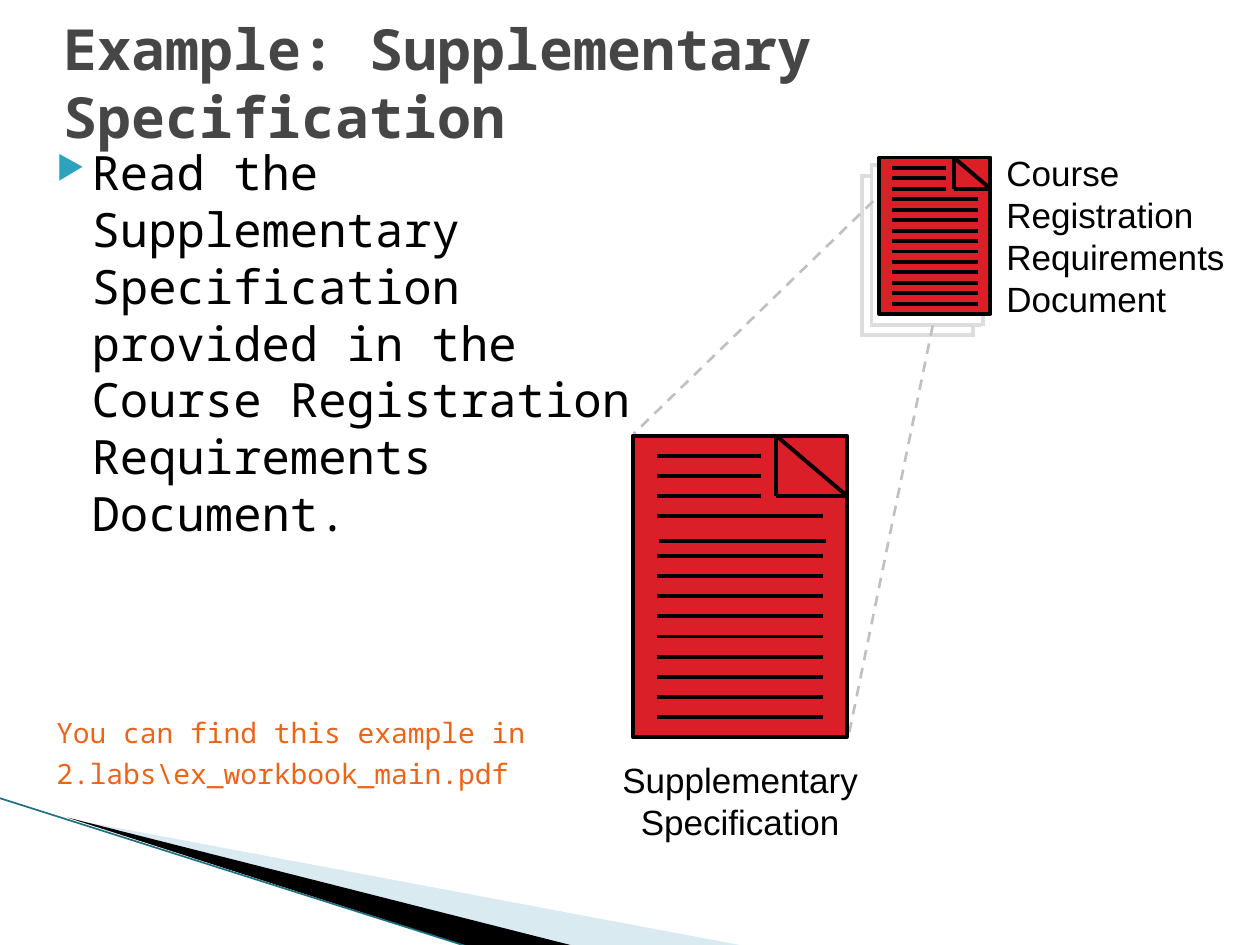
import pptx
import pptx.util
import pptx.dml.color
import pptx.enum.dml
import pptx.enum.shapes
import pptx.enum.text
import pptx.oxml
import pptx.oxml.ns
from lxml import etree

Pt = pptx.util.Pt
RGBColor = pptx.dml.color.RGBColor
ALIGN = pptx.enum.text.PP_ALIGN
ANCHOR = pptx.enum.text.MSO_ANCHOR
MONO, SANS = "Noto Sans Mono", "Arial"
BLACK = RGBColor(0, 0, 0)
RED = RGBColor(0xDA, 0x1F, 0x28)
SHEET_GREY = RGBColor(0xDD, 0xDD, 0xDD)
DASH_GREY = RGBColor(0xC0, 0xC0, 0xC0)
TITLE_GREY = RGBColor(0x46, 0x46, 0x46)
ORANGE = RGBColor(0xEB, 0x64, 0x1B)
PALE_BLUE = RGBColor(0xA0, 0xCB, 0xDC)
TEAL = RGBColor(0x1F, 0x70, 0x80)


def line(s, x1, y1, x2, y2, color=BLACK, width=2.25, dashed=False):
    c = s.shapes.add_connector(pptx.enum.shapes.MSO_CONNECTOR.STRAIGHT,
                               Pt(x1), Pt(y1), Pt(x2), Pt(y2))
    c.line.color.rgb = color
    c.line.width = Pt(width)
    if dashed:
        c.line.dash_style = pptx.enum.dml.MSO_LINE.DASH
    etree.SubElement(c._element.spPr, pptx.oxml.ns.qn("a:effectLst"))


def wedge(s, x, y, points, color, alpha=None):
    fb = s.shapes.build_freeform(x, y, scale=12700)
    fb.add_line_segments([(x + dx, y + dy) for dx, dy in points], close=True)
    sp = fb.convert_to_shape()
    sp.shadow.inherit = False
    sp.fill.solid()
    sp.fill.fore_color.rgb = color
    sp.line.fill.background()
    if alpha:
        clr = sp._element.spPr.find(".//" + pptx.oxml.ns.qn("a:srgbClr"))
        etree.SubElement(clr, pptx.oxml.ns.qn("a:alpha"), val=str(alpha * 1000))


def corner_sweep(s, x, y):
    wedge(s, x + 40, y + 12, [(389, 73), (289, 73)], PALE_BLUE, 40)
    wedge(s, x + 39, y + 11, [(291, 74), (230, 74)], BLACK)
    line(s, x, y, x + 268, y + 85, TEAL, 0.95)


def text(s, x, y, w, h, lines, font, size, color=BLACK, align=ALIGN.LEFT, wrap=False):
    tf = s.shapes.add_textbox(Pt(x), Pt(y), Pt(w), Pt(h)).text_frame
    tf.word_wrap = wrap
    tf.text = "\n".join(lines)
    for p in tf.paragraphs:
        p.alignment = align
        p.font.name, p.font.size = font, Pt(size)
        p.font.color.rgb = color
    return tf


def title(s, x, y, w, h):
    sp = s.shapes.title
    sp.left, sp.top, sp.width, sp.height = Pt(x), Pt(y), Pt(w), Pt(h)
    tf = sp.text_frame
    tf.word_wrap = True
    tf.vertical_anchor = ANCHOR.MIDDLE
    tf.text = "Example: Supplementary Specification"
    p = tf.paragraphs[0]
    p.alignment = ALIGN.LEFT
    p.font.name, p.font.size, p.font.bold = MONO, Pt(32.4), True
    p.font.color.rgb = TITLE_GREY


def body(s, x, y, w, h):
    tf = text(s, x, y, w, h, [
        "Read the Supplementary Specification provided in the "
        "Course Registration Requirements Document.",
        "You can find this example in",
        "2.labs\\ex_workbook_main.pdf"], MONO, 27, wrap=True)
    for p, before in zip(tf.paragraphs, (4, 100, 4)):
        p.space_before = Pt(before)
        pPr = p._p.get_or_add_pPr()
        pPr.set("marL", str(Pt(28.8)))
        pPr.set("indent", str(Pt(-20.2)))
    for p in tf.paragraphs[1:]:
        p.font.size = Pt(16)
        p.font.color.rgb = ORANGE
    pPr = tf.paragraphs[0]._p.pPr
    ns = pptx.oxml.ns.nsdecls("a")
    bullet = [f'<a:buClr {ns}><a:srgbClr val="2DA2BF"/></a:buClr>',
              f'<a:buSzPct {ns} val="68000"/>',
              f'<a:buChar {ns} char="\u25b6"/>']
    at = pPr.index(pPr.find(pptx.oxml.ns.qn("a:spcBef"))) + 1
    for i, xml in enumerate(bullet):
        pPr.insert(at + i, pptx.oxml.parse_xml(xml))


def back_sheet(s, x, y, w=63.5, h=93):
    for x1, y1, x2, y2 in ((0, 0, 0, h), (-1, h - 1, w - 1, h - 1),
                           (w, h, w, h - 7), (-1, 1, 6, 1)):
        line(s, x + x1, y + y1, x + x2, y + y2, SHEET_GREY)


def document(s, x, y, w, h, shifted=None):
    sp = s.shapes.add_shape(pptx.enum.shapes.MSO_SHAPE.RECTANGLE, Pt(x), Pt(y), Pt(w), Pt(h))
    sp.shadow.inherit = False
    sp.fill.solid()
    sp.fill.fore_color.rgb = RED
    sp.line.color.rgb = BLACK
    sp.line.width = Pt(2.25)
    fold_x, fold_y, right = x + 0.67 * w, y + 0.2 * h, x + w
    line(s, fold_x, y, right, fold_y)
    line(s, fold_x, y, fold_x, fold_y)
    line(s, right, fold_y, fold_x, fold_y)
    for i in range(14):
        dx, dy = (1.5, 2.9) if i == shifted else (0, 0)
        ly = y + (i + 1) * 0.0667 * h + dy
        end = 0.6 if i < 3 else 0.89
        line(s, x + 0.112 * w + dx, ly, x + end * w + dx, ly)


prs = pptx.Presentation()
prs.slide_width, prs.slide_height = Pt(720), Pt(540)
s = prs.slides.add_slide(prs.slide_layouts[5])

corner_sweep(s, -0.5, 456)
title(s, 29, 11, 612, 72)
body(s, 16.5, 78.5, 385, 397.5)
back_sheet(s, 492.5, 99.5)
back_sheet(s, 498, 93.5)
document(s, 502.5, 90, 63.5, 89.5)
text(s, 568, 83, 145, 103, ["Course", "Registration", "Requirements", "Document"], SANS, 20)
line(s, 499, 115, 362, 248, DASH_GREY, 1.5, True)
line(s, 533, 186, 484.5, 422.5, DASH_GREY, 1.5, True)
document(s, 361.5, 249, 122.5, 172, shifted=4)
text(s, 348.5, 430, 149, 55.5, ["Supplementary", "Specification"], SANS, 20, align=ALIGN.CENTER)

prs.save("out.pptx")
